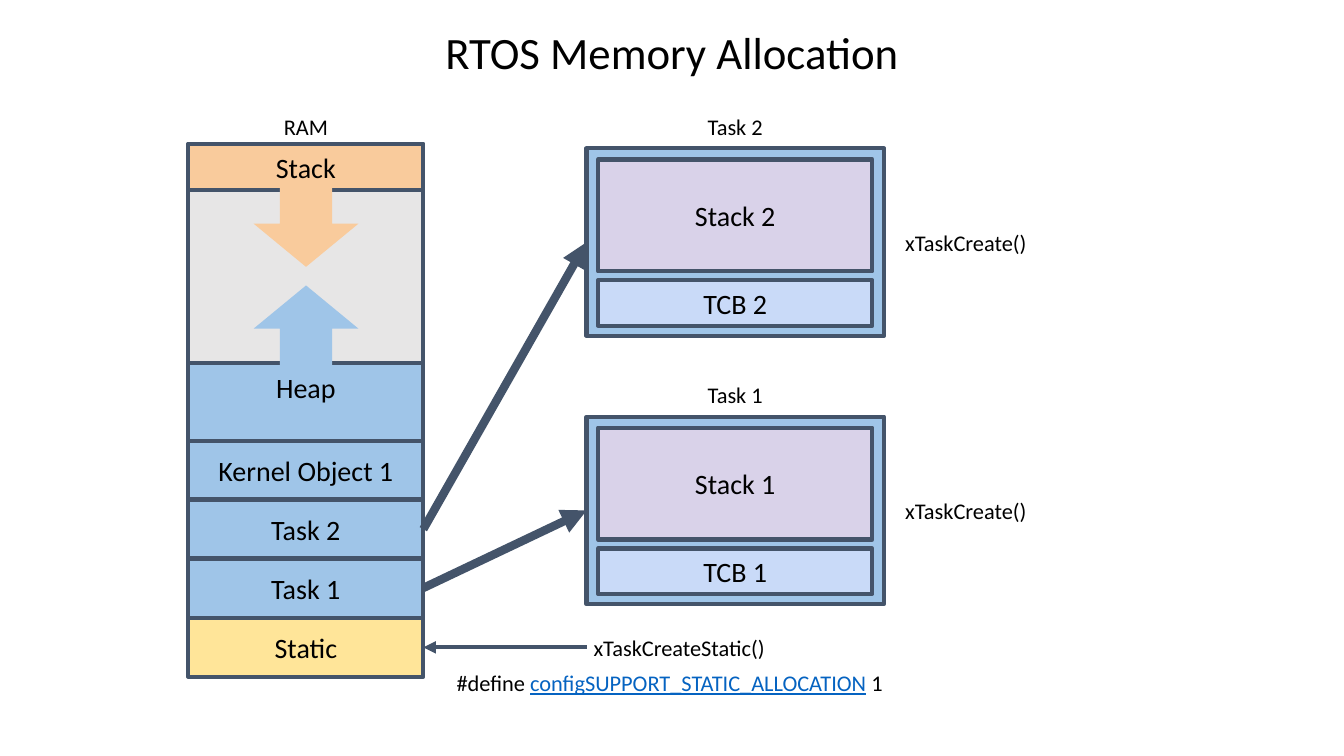
import pptx
import pptx.util
import pptx.dml.color
import pptx.enum.shapes
import pptx.enum.text
import pptx.oxml
import pptx.oxml.ns

Pt = pptx.util.Pt
rgb = pptx.dml.color.RGBColor.from_string
MSO = pptx.enum.shapes.MSO_SHAPE
ALIGN = pptx.enum.text.PP_ALIGN
ANCHOR = pptx.enum.text.MSO_ANCHOR

SLATE, BLUE, ORANGE, BLACK = "44546A", "9FC5E8", "F9CB9C", "000000"


def write(sp, text, size, align=ALIGN.CENTER, anchor=ANCHOR.MIDDLE):
    tf = sp.text_frame
    tf.word_wrap = True
    tf.auto_size = pptx.enum.text.MSO_AUTO_SIZE.NONE
    tf.vertical_anchor = anchor
    tf.margin_left = tf.margin_right = tf.margin_top = tf.margin_bottom = Pt(5)
    p = tf.paragraphs[0]
    p.text = text
    p.alignment = align
    p.font.name = "Calibri"
    p.font.size = Pt(size)
    p.font.color.rgb = rgb(BLACK)
    return p


def add_box(kind, x, y, w, h, fill, line=SLATE):
    sp = s.shapes.add_shape(kind, Pt(x), Pt(y), Pt(w), Pt(h))
    sp.shadow.inherit = False
    sp.fill.solid()
    sp.fill.fore_color.rgb = rgb(fill)
    if line:
        sp.line.color.rgb = rgb(line)
        sp.line.width = Pt(3)
    else:
        sp.line.fill.background()
    return sp


prs = pptx.Presentation()
prs.slide_width, prs.slide_height = Pt(960), Pt(540)
s = prs.slides.add_slide(prs.slide_layouts[5])

title = s.shapes.title
title.left, title.top, title.width, title.height = Pt(0), Pt(0), Pt(960), Pt(74)
write(title, "RTOS Memory Allocation", 32)

ram_x, ram_y, ram_w, ram_h = 134.6, 103, 167.8, 380
row_h, row_gap = 42, 42.2
rows_y = 314.8

add_box(MSO.RECTANGLE, ram_x, ram_y, ram_w, ram_h, "E7E6E6")
heap = add_box(MSO.RECTANGLE, ram_x, 259.4, ram_w, 181.6, BLUE)
write(heap, "Heap", 20, anchor=ANCHOR.TOP)
stack = add_box(MSO.RECTANGLE, ram_x, ram_y, ram_w, 32.6, ORANGE)
write(stack, "Stack", 20)
for y, fill, rotation in [(203.9, BLUE, 180), (129, ORANGE, 0)]:
    arrow = add_box(MSO.DOWN_ARROW, 181.2, y, 74.8, 61.6, fill, None)
    arrow.rotation = rotation

rows = [("Kernel Object 1", BLUE), ("Task 2", BLUE), ("Task 1", BLUE), ("Static", "FFE599")]
for i, (name, fill) in enumerate(rows):
    row = add_box(MSO.RECTANGLE, ram_x, rows_y + i * row_gap, ram_w, row_h, fill)
    write(row, name, 20)

panel_x = 419
labels = [
    ("RAM", 137.5, 78.4, 162, 24.4, ALIGN.CENTER),
    ("xTaskCreateStatic()", panel_x, 441.4, 180.8, row_h, ALIGN.LEFT),
]
for n, panel_y in [(2, 106), (1, 297.6)]:
    add_box(MSO.RECTANGLE, panel_x, panel_y, 212.4, 134, BLUE)
    for name, dy, h, fill in [("Stack", 7.9, 80, "D9D2E9"), ("TCB", 94.2, 32.4, "C9DAF8")]:
        part = add_box(MSO.RECTANGLE, panel_x + 8.2, panel_y + dy, 196, h, fill)
        write(part, f"{name} {n}", 20)
    labels += [
        (f"Task {n}", 467.6, panel_y - 31.8, 115.2, 32.4, ALIGN.CENTER),
        ("xTaskCreate()", 641.6, panel_y + 46, 144, row_h, ALIGN.LEFT),
    ]

for text, x, y, w, h, align in labels:
    sp = s.shapes.add_textbox(Pt(x), Pt(y), Pt(w), Pt(h))
    write(sp, text, 16, align)

ram_right = ram_x + ram_w
for x1, y1, x2, y2, width in [
    (ram_right, 420, panel_x, 364.6, 6),
    (ram_right, 378, panel_x, 173, 6),
    (panel_x, 462.4, ram_right, 462.4, 3),
]:
    link = s.shapes.add_connector(
        pptx.enum.shapes.MSO_CONNECTOR.STRAIGHT, Pt(x1), Pt(y1), Pt(x2), Pt(y2))
    link.line.color.rgb = rgb(SLATE)
    link.line.width = Pt(width)
    tail = pptx.oxml.parse_xml(f'<a:tailEnd {pptx.oxml.ns.nsdecls("a")} type="triangle"/>')
    link.line._get_or_add_ln().append(tail)
    effects = pptx.oxml.parse_xml(f'<a:effectLst {pptx.oxml.ns.nsdecls("a")}/>')
    link._element.spPr.append(effects)

define = s.shapes.add_textbox(Pt(321.2), Pt(473), Pt(590.4), Pt(24.4))
p = write(define, "#define ", 16, ALIGN.LEFT, ANCHOR.TOP)
r = p.add_run()
r.text = "configSUPPORT_STATIC_ALLOCATION"
r.font.color.rgb = rgb("0563C1")
r.font.underline = True
p.add_run().text = " 1"

prs.save("out.pptx")
